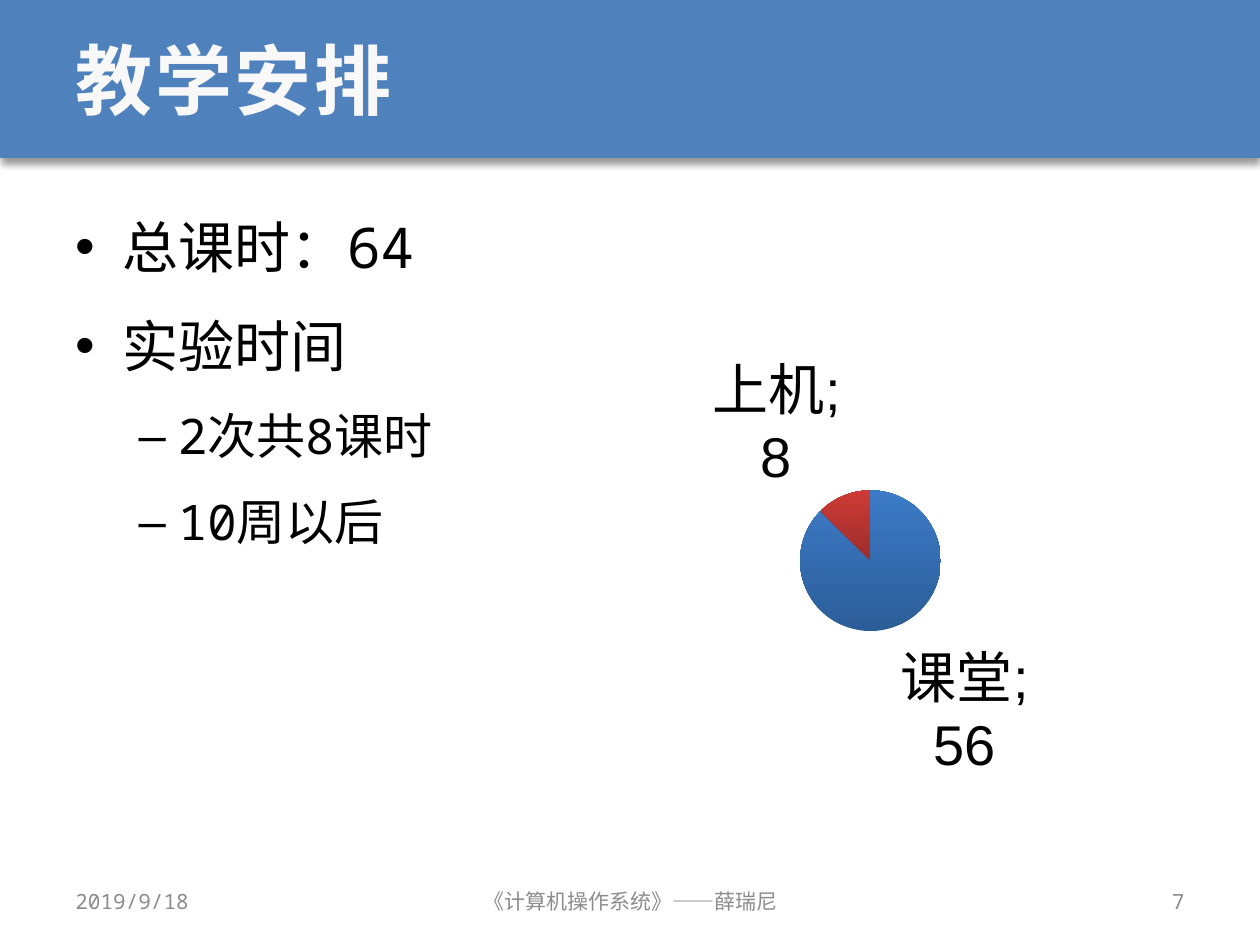
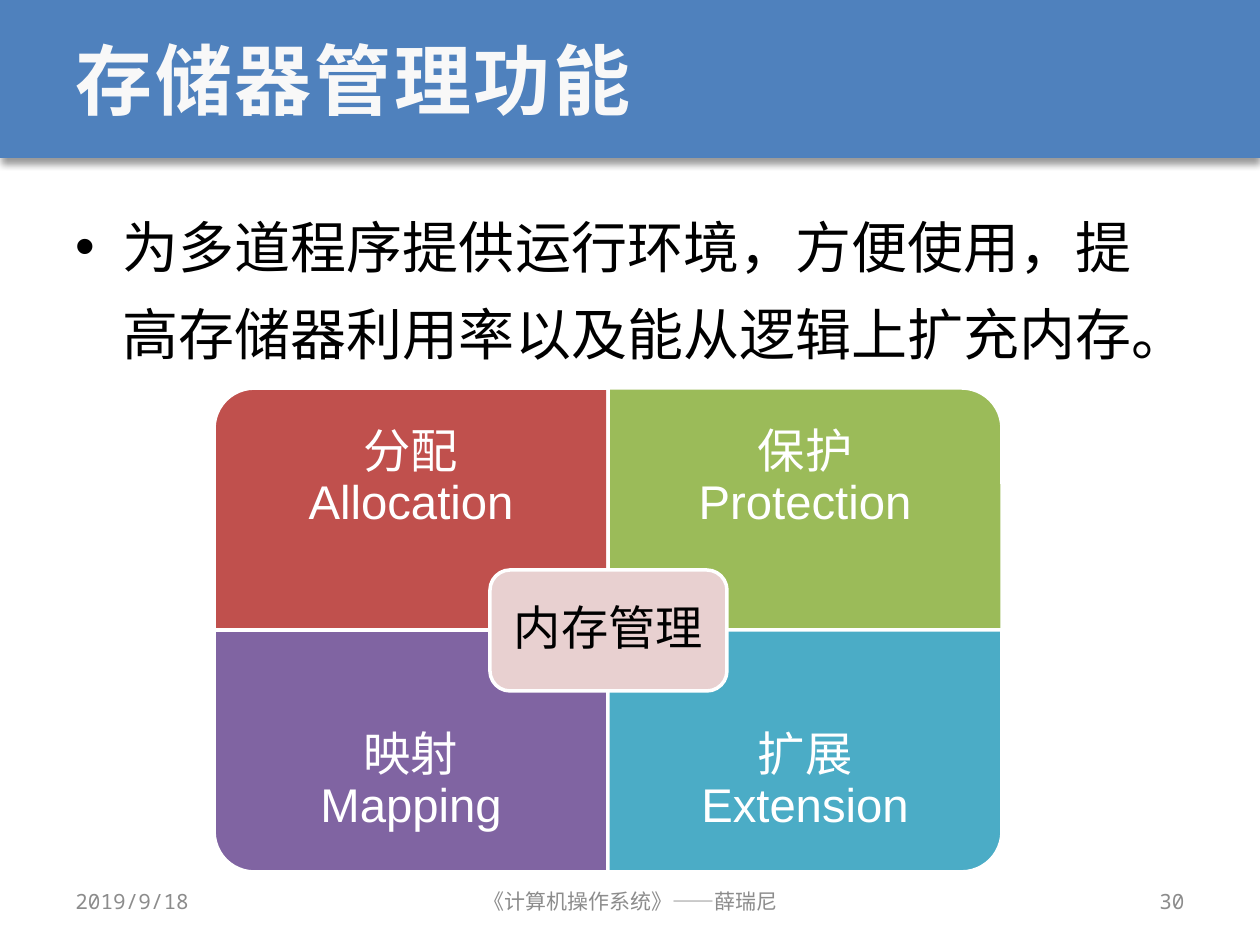
from dataclasses import dataclass

from lxml import etree
from pptx import Presentation
from pptx.chart.data import CategoryChartData
from pptx.dml.color import RGBColor
from pptx.enum.chart import XL_CHART_TYPE, XL_LABEL_POSITION
from pptx.enum.shapes import MSO_SHAPE
from pptx.enum.text import MSO_ANCHOR, MSO_AUTO_SIZE, PP_ALIGN
from pptx.oxml.ns import qn
from pptx.util import Emu, Pt

RECT, ROUNDED, ONE_ROUND = (
    MSO_SHAPE.RECTANGLE, MSO_SHAPE.ROUNDED_RECTANGLE, MSO_SHAPE.ROUND_1_RECTANGLE)
LEFT, CENTER, RIGHT = PP_ALIGN.LEFT, PP_ALIGN.CENTER, PP_ALIGN.RIGHT
MIDDLE, TOP = MSO_ANCHOR.MIDDLE, MSO_ANCHOR.TOP
NO_AUTOFIT = MSO_AUTO_SIZE.NONE
PIE = XL_CHART_TYPE.PIE
OUTSIDE_END = XL_LABEL_POSITION.OUTSIDE_END
TITLE_AND_CONTENT = 1
PX_PER_INCH = 126
SLIDE_WIDTH, SLIDE_HEIGHT = 1260, 945
BAND_HEIGHT = 158


@dataclass(frozen=True)
class Theme:
    mono: str = "Noto Sans Mono"
    sans: str = "Arial"
    band: str = "4F81BD"
    title: str = "F8F8F8"
    text: str = "000000"
    white: str = "FFFFFF"
    footer: str = "8C8C8C"
    hub: str = "E8D0D0"
    red: str = "C0504D"
    green: str = "9BBB59"
    purple: str = "8064A2"
    teal: str = "4BACC6"
    pie_gradients: tuple = (("2C5D98", "3C7BC7"), ("9B2D2A", "CE3B37"))
    title_size: int = 44
    body_sizes: tuple = (32, 28)
    panel_size: int = 27
    footer_size: int = 12
    chart_size: int = 32


THEME = Theme()

FOOTERS = (
    (63, 294, LEFT, "2019/9/18"),
    (431, 399, CENTER, "《计算机操作系统》——薛瑞尼"),
    (903, 294, RIGHT, "{number}"),
)

MATRIX_LEFT, MATRIX_TOP = 214, 388
PANEL_WIDTH, PANEL_HEIGHT, CAPTION_HEIGHT = 394, 242, 181
PANELS = (
    ("分配\vAllocation", THEME.red, 0, 0, 270),
    ("保护\vProtection", THEME.green, 1, 0, 0),
    ("映射\vMapping", THEME.purple, 0, 1, 180),
    ("扩展\vExtension", THEME.teal, 1, 1, 90),
)


def px(length):
    return Emu(round(length * 914400 / PX_PER_INCH))


def box_px(*lengths):
    return [px(length) for length in lengths]


def apply(target, values):
    for name, value in values.items():
        setattr(target, name, value)


def style_font(font, name, size, color, bold=False):
    apply(font, {"name": name, "size": Pt(size), "bold": bold})
    font.color.rgb = RGBColor.from_string(color)


def set_frame(frame, anchor=MIDDLE, inset=None):
    apply(frame, {"word_wrap": True, "auto_size": NO_AUTOFIT, "vertical_anchor": anchor})
    if inset is not None:
        sides = ("margin_left", "margin_right", "margin_top", "margin_bottom")
        apply(frame, dict.fromkeys(sides, px(inset)))


def place(shape, left, top, width, height):
    apply(shape, dict(zip(("left", "top", "width", "height"),
                          box_px(left, top, width, height))))


def write(frame, text, font, size, color, align, spacing=None):
    frame.text = text
    paragraph = frame.paragraphs[0]
    apply(paragraph, {"alignment": align, "line_spacing": spacing})
    for run in paragraph.runs:
        style_font(run.font, font, size, color)


def add_label(slide, box, text, font, size, color, align, inset=None, spacing=None):
    frame = slide.shapes.add_textbox(*box_px(*box)).text_frame
    set_frame(frame, inset=inset)
    write(frame, text, font, size, color, align, spacing)


def add_block(slide, preset, box, fill, outline=None):
    block = slide.shapes.add_shape(preset, *box_px(*box))
    block.shadow.inherit = False
    block.fill.solid()
    block.fill.fore_color.rgb = RGBColor.from_string(fill)
    if outline:
        block.line.color.rgb = RGBColor.from_string(outline)
        block.line.width = Pt(2)
    else:
        block.line.fill.background()
    return block


def add_band(slide):
    band = add_block(slide, RECT, (0, 0, SLIDE_WIDTH, BAND_HEIGHT), THEME.band)
    effects = band.element.spPr.find(qn("a:effectLst"))
    shadow = etree.SubElement(effects, qn("a:outerShdw"), {
        "blurRad": str(Pt(4)), "dist": str(Pt(3)), "dir": "5400000",
        "algn": "t", "rotWithShape": "0"})
    black = etree.SubElement(shadow, qn("a:srgbClr"), val="000000")
    etree.SubElement(black, qn("a:alpha"), val="40000")
    slide.shapes.element.insert(2, band.element)


def add_title(slide, text):
    title = slide.shapes.title
    place(title, 63, 0, 1134, BAND_HEIGHT)
    set_frame(title.text_frame)
    title.text_frame.text = text
    paragraph = title.text_frame.paragraphs[0]
    paragraph.alignment = LEFT
    run = paragraph.runs[0]
    style_font(run.font, THEME.mono, THEME.title_size, THEME.title, bold=True)
    run.font._element.set("spc", "150")


def add_bullets(slide, items):
    body = slide.placeholders[1]
    place(body, 63, 186, 1134, 672)
    frame = body.text_frame
    set_frame(frame, TOP)
    for index, (level, text) in enumerate(items):
        paragraph = frame.add_paragraph() if index else frame.paragraphs[0]
        apply(paragraph, {"level": level, "line_spacing": 1.3})
        run = paragraph.add_run()
        run.text = text
        style_font(run.font, THEME.mono, THEME.body_sizes[level], THEME.text)


def add_lecture_slide(deck, title, items, number):
    slide = deck.slides.add_slide(deck.slide_layouts[TITLE_AND_CONTENT])
    add_band(slide)
    add_title(slide, title)
    add_bullets(slide, items)
    for left, width, align, text in FOOTERS:
        add_label(slide, (left, 876, width, 50), text.format(number=number),
                  THEME.mono, THEME.footer_size, THEME.footer, align)
    return slide


def add_hours_pie(slide, hours):
    data = CategoryChartData()
    data.categories = list(hours)
    data.add_series("Series 1", list(hours.values()))
    chart = slide.shapes.add_chart(PIE, *box_px(481, 329, 779, 457), data).chart
    apply(chart, {"has_legend": False, "has_title": False})
    style_font(chart.font, THEME.sans, THEME.chart_size, THEME.text)
    chart.plots[0].vary_by_categories = True
    series = chart.plots[0].series[0]
    for index, gradient in enumerate(THEME.pie_gradients):
        fill = series.points[index].format.fill
        fill.gradient()
        fill.gradient_angle = 90
        for stop, color in zip(fill.gradient_stops, gradient):
            stop.color.rgb = RGBColor.from_string(color)
    labels = series.data_labels
    apply(labels, {"show_value": True, "show_category_name": True,
                   "show_percentage": False, "position": OUTSIDE_END})
    style_font(labels.font, THEME.sans, THEME.chart_size, THEME.text)
    separator = etree.Element(qn("c:separator"))
    separator.text = "; "
    labels._element.find(qn("c:showBubbleSize")).addnext(separator)


def add_panel(slide, caption, color, column, row, rotation):
    left = MATRIX_LEFT + column * PANEL_WIDTH
    top = MATRIX_TOP + row * PANEL_HEIGHT
    width, height = PANEL_WIDTH, PANEL_HEIGHT
    if rotation % 180:
        width, height = height, width
    frame = (left + (PANEL_WIDTH - width) // 2,
             top + (PANEL_HEIGHT - height) // 2, width, height)
    add_block(slide, ONE_ROUND, frame, color, THEME.white).rotation = rotation
    caption_top = top + row * (PANEL_HEIGHT - CAPTION_HEIGHT)
    add_label(slide, (left, caption_top, PANEL_WIDTH, CAPTION_HEIGHT), caption,
              THEME.sans, THEME.panel_size, THEME.white, CENTER, 26, 0.9)


def add_memory_matrix(slide):
    for panel in PANELS:
        add_panel(slide, *panel)
    hub = add_block(slide, ROUNDED, (490, 570, 237, 121), THEME.hub, THEME.white)
    set_frame(hub.text_frame, inset=14)
    write(hub.text_frame, "内存管理", THEME.sans, THEME.panel_size,
          THEME.text, CENTER, 0.9)


def main():
    deck = Presentation()
    apply(deck, {"slide_width": px(SLIDE_WIDTH), "slide_height": px(SLIDE_HEIGHT)})
    schedule = add_lecture_slide(deck, "教学安排", (
        (0, "总课时：64"),
        (0, "实验时间"),
        (1, "2次共8课时"),
        (1, "10周以后"),
    ), 7)
    add_hours_pie(schedule, {"课堂": 56, "上机": 8})
    memory = add_lecture_slide(deck, "存储器管理功能", (
        (0, "为多道程序提供运行环境，方便使用，提高存储器利用率以及能从逻辑上扩充内存。"),
    ), 30)
    add_memory_matrix(memory)
    deck.save("out.pptx")


if __name__ == "__main__":
    main()
